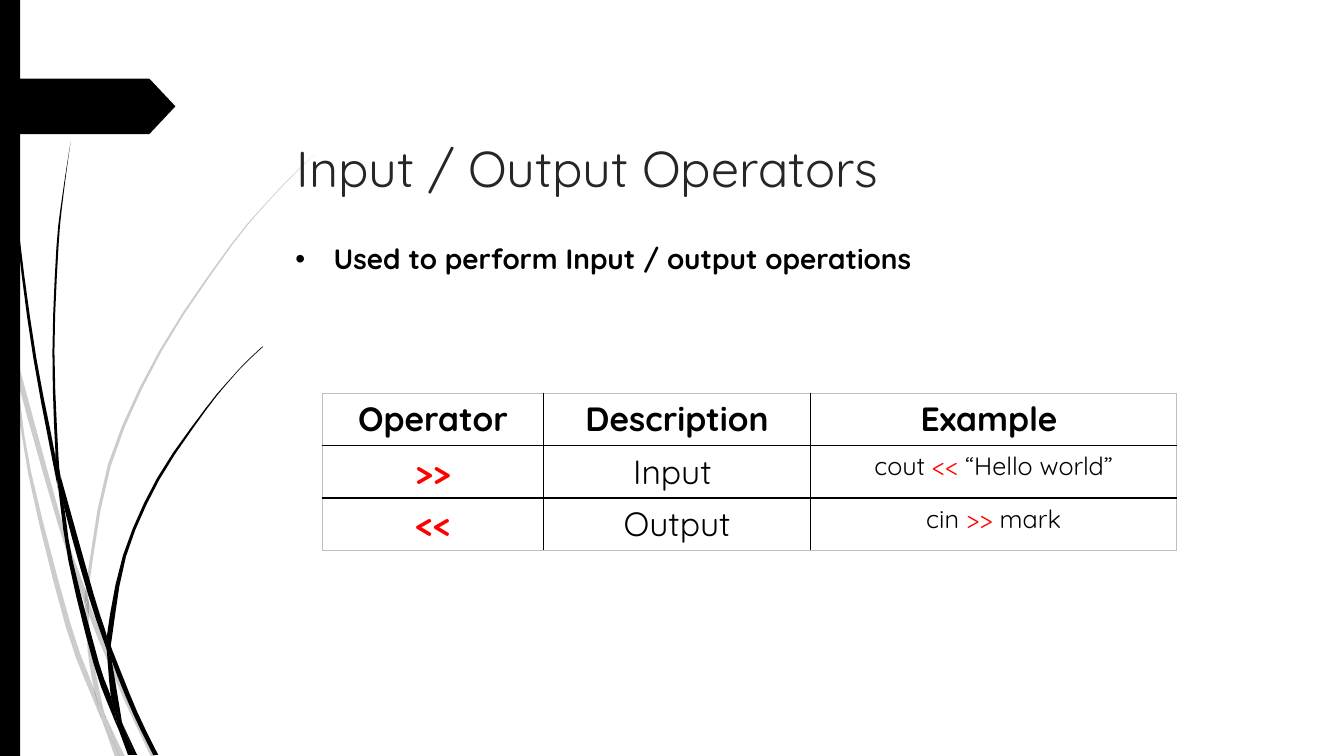
"""Builds the slide on input and output operators: grass strands, title, bullet and table."""
from lxml import etree
from pptx import Presentation
from pptx.dml.color import RGBColor
from pptx.enum import shapes, text
from pptx.oxml.ns import qn
from pptx.util import Pt

PX = 9144
FONT = "Quicksand"
COLORS = {"black": "000000", "title": "262626", "red": "FF0000", "edge": "BFBFBF"}
STEPS = 3


def smooth(points):
    ends = [points[0]] + points + [points[-1]]
    curve = []
    for a, b, c, d in zip(ends, ends[1:], ends[2:], ends[3:]):
        for i in range(STEPS):
            t = i / STEPS
            curve.append(tuple(
                PX * (2 * q + (r - p) * t + (2 * p - 5 * q + 4 * r - s) * t ** 2
                      + (3 * q - p - 3 * r + s) * t ** 3) / 2
                for p, q, r, s in zip(a, b, c, d)))
    return curve + [tuple(PX * v for v in points[-1])]


def style(r, size, color, bold=False):
    r.font.name = FONT
    r.font.size = Pt(size)
    r.font.bold = bold
    r.font.color.rgb = RGBColor.from_string(COLORS[color])


prs = Presentation()
prs.slide_width, prs.slide_height = 1333 * PX, 750 * PX
slide = prs.slides.add_slide(prs.slide_layouts[1])
tree = slide.shapes

grey_blades = [
    ([(0, 282), (9, 322), (11, 350)], [(0, 299), (10, 344), (11, 350)]),
    ([(14, 345), (17, 376), (58, 522), (84, 599)], [(14, 345), (62, 520), (85, 586), (84, 599)]),
    ([(88, 596), (88, 610), (123, 694), (150, 751)], [(88, 596), (92, 607), (127, 692), (155, 751)]),
    ([(105, 711), (119, 751)], [(105, 711), (124, 751)]),
    ([(11, 350), (28, 470), (65, 621), (92, 693), (101, 714)],
     [(11, 350), (17, 376), (31, 469), (70, 619), (93, 683), (99, 707), (101, 714)]),
    ([(84, 599), (87, 646), (93, 683), (96, 692), (105, 711)],
     [(84, 599), (88, 608), (88, 610), (91, 646), (103, 706), (105, 711)]),
    ([(312, 153), (289, 175), (268, 197), (228, 244), (158, 348), (107, 461), (85, 584),
      (85, 586), (88, 596)],
     [(312, 153), (290, 175), (268, 198), (229, 245), (160, 349), (110, 462), (88, 584),
      (88, 596)]),
    ([(101, 714), (114, 751)], [(101, 714), (119, 751)]),
    ([(85, 586), (84, 599), (88, 608)], [(85, 586), (88, 596), (88, 610)]),
    ([(93, 683), (99, 707), (101, 714), (119, 751)], [(93, 683), (96, 692), (105, 711), (119, 751)]),
]
black_blades = [
    ([(3, 0), (4, 48), (7, 110), (17, 233), (33, 355), (56, 477), (57, 481)],
     [(4, 0), (5, 48), (8, 109), (19, 232), (36, 355), (55, 453), (57, 481)]),
    ([(60, 472), (64, 505), (88, 592), (106, 645)], [(60, 472), (93, 590), (106, 631), (106, 645)]),
    ([(110, 641), (111, 656), (132, 708), (152, 749)], [(110, 641), (113, 649), (136, 706), (157, 749)]),
    ([(57, 477), (68, 557), (93, 659), (111, 708), (117, 722)],
     [(57, 477), (64, 505), (72, 556), (98, 657), (110, 691), (117, 722)]),
    ([(70, 141), (62, 193), (56, 245), (52, 349), (55, 449), (60, 472)],
     [(70, 141), (63, 193), (58, 245), (54, 349), (58, 453), (60, 472)]),
    ([(122, 719), (133, 749)], [(122, 719), (136, 749)]),
    ([(55, 449), (55, 453), (57, 477), (64, 505)], [(55, 449), (60, 472), (64, 505)]),
    ([(260, 344), (245, 358), (231, 373), (204, 405), (156, 474), (122, 551), (106, 631),
      (110, 641)],
     [(261, 344), (245, 359), (231, 374), (205, 406), (158, 476), (125, 552), (111, 633),
      (110, 641)]),
    ([(117, 722), (127, 749)], [(117, 722), (131, 749)]),
    ([(106, 645), (110, 691), (116, 706), (122, 719)], [(106, 645), (109, 651), (111, 656), (121, 716), (122, 719)]),
    ([(106, 631), (106, 645), (109, 651), (111, 656)], [(106, 631), (110, 641), (111, 656)]),
    ([(110, 691), (116, 717), (117, 722), (130, 749)], [(110, 691), (116, 706), (122, 719), (133, 749)]),
]
decor = []
for opacity, blades in [(20, grey_blades), (100, black_blades)]:
    for left_edge, right_edge in blades:
        outline = smooth(left_edge) + smooth(right_edge)[::-1]
        builder = tree.build_freeform(*outline[0])
        builder.add_line_segments(outline[1:])
        decor.append((builder.convert_to_shape(), opacity))

bar = tree.add_shape(shapes.MSO_SHAPE.RECTANGLE, 0, 0, 20 * PX, 750 * PX)
flag = tree.add_shape(shapes.MSO_SHAPE.PENTAGON, 0, 78 * PX, 174 * PX, 55 * PX)
flag.adjustments[0] = 0.47
decor += [(bar, 100), (flag, 100)]

for sp, opacity in decor:
    sp.shadow.inherit = False
    sp.line.fill.background()
    sp.fill.solid()
    sp.fill.fore_color.rgb = RGBColor.from_string(COLORS["black"])
    if opacity < 100:
        color = sp._element.spPr.find(qn("a:solidFill")).find(qn("a:srgbClr"))
        etree.SubElement(color, qn("a:alpha"), val=str(opacity * 1000))

title, body = slide.placeholders
for sp, words, box, size, color, bold in [
    (title, "Input / Output Operators", (284, 131, 975, 92), 36, "title", False),
    (body, "Used to perform Input / output operations", (283, 235, 921, 44), 20, "black", True),
]:
    sp.left, sp.top, sp.width, sp.height = (v * PX for v in box)
    tf = sp.text_frame
    tf.text = words
    tf.word_wrap = True
    tf.auto_size = text.MSO_AUTO_SIZE.NONE
    tf.vertical_anchor = text.MSO_ANCHOR.TOP
    p = tf.paragraphs[0]
    p.alignment = text.PP_ALIGN.LEFT
    p.space_before = Pt(0)
    style(p.runs[0], size, color, bold)
    tree._spTree.append(sp._element)

pPr = body.text_frame.paragraphs[0]._p.get_or_add_pPr()
pPr.set("marL", str(38 * PX))
pPr.set("indent", str(-38 * PX))
etree.SubElement(pPr, qn("a:buFont"), typeface="Arial")
etree.SubElement(pPr, qn("a:buChar"), char="•")

rows = [
    [["Operator"], ["Description"], ["Example "]],
    [[">>"], ["Input "], ["cout ", "<< ", "“Hello world”"]],
    [["<<"], ["Output"], ["cin ", ">>", " mark"]],
]
widths = [219, 265, 363]
table = tree.add_table(len(rows), len(widths), 320 * PX, 390 * PX,
                       sum(widths) * PX, 52 * len(rows) * PX).table
table.first_row = table.horz_banding = False
for column, width in zip(table.columns, widths):
    column.width = width * PX

for i, row in enumerate(rows):
    table.rows[i].height = 52 * PX
    for j, parts in enumerate(row):
        cell = table.cell(i, j)
        cell.vertical_anchor = text.MSO_ANCHOR.TOP if j == 2 else text.MSO_ANCHOR.MIDDLE
        p = cell.text_frame.paragraphs[0]
        p.alignment = text.PP_ALIGN.CENTER
        for part in parts:
            r = p.add_run()
            r.text = part
            style(r, 18 if i and j == 2 else 24,
                  "red" if part.strip() in ("<<", ">>") else "black", i == 0 or j == 0)
        tcPr = cell._tc.get_or_add_tcPr()
        for side, outer, weight in [("a:lnL", j == 0, 1), ("a:lnR", j == 2, 1),
                                    ("a:lnT", i == 0, 1.5), ("a:lnB", i == 2, 1.5)]:
            ln = etree.SubElement(tcPr, qn(side), w=str(Pt(1 if outer else weight)))
            fill = etree.SubElement(ln, qn("a:solidFill"))
            etree.SubElement(fill, qn("a:srgbClr"), val=COLORS["edge" if outer else "black"])
        cell.fill.background()

prs.save("out.pptx")
